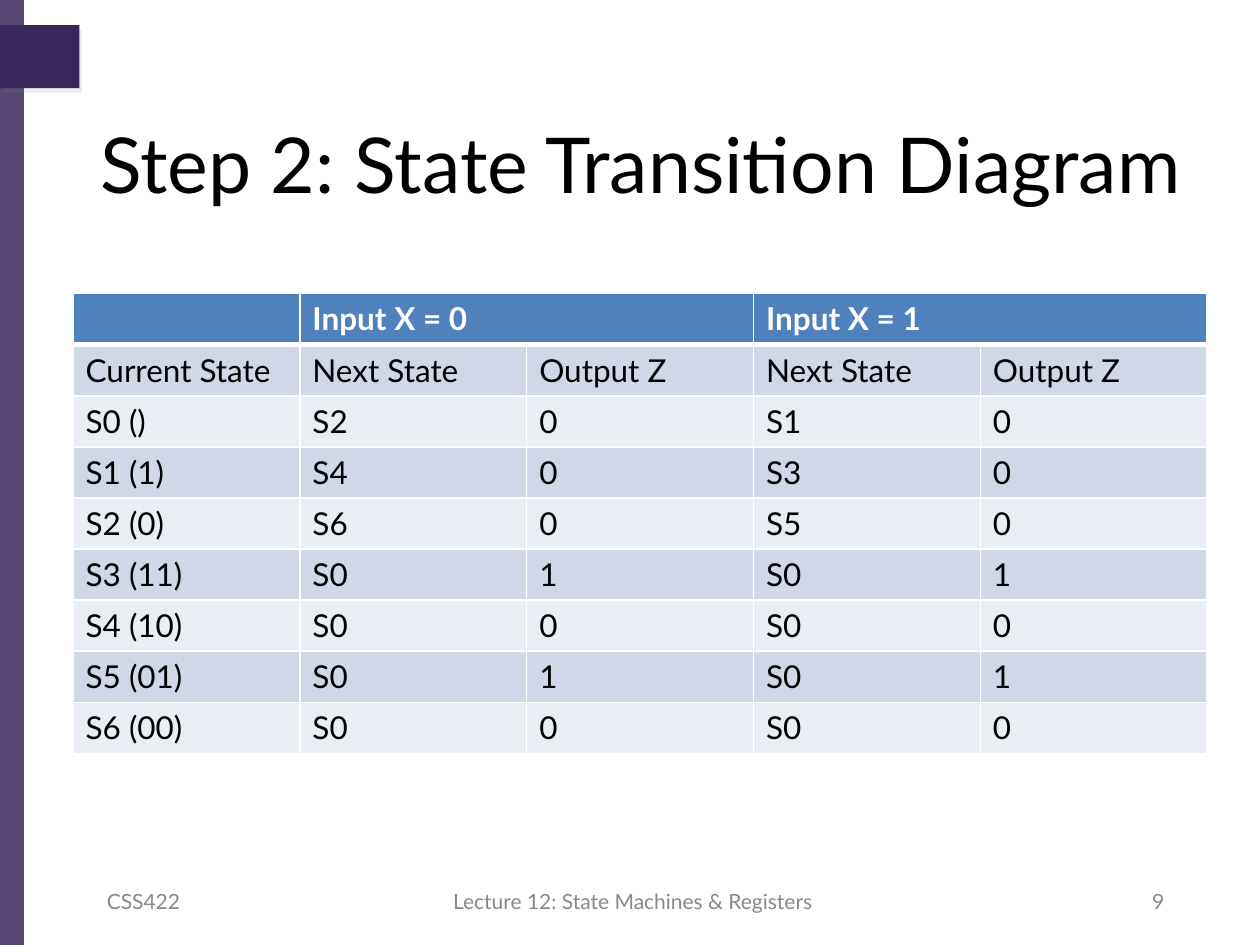
import dataclasses

import pptx
import pptx.dml.color
import pptx.enum.shapes
import pptx.enum.text
import pptx.oxml
import pptx.oxml.ns
import pptx.util
from lxml import etree

Inches = pptx.util.Inches
Align = pptx.enum.text.PP_ALIGN


@dataclasses.dataclass(frozen=True)
class Theme:
    font: str = "Lato"
    accent: str = "39275B"
    shadow: str = "808080"
    text: str = "000000"
    muted: str = "898989"
    header: str = "4F81BD"
    bands: tuple = ("D0D8E8", "E9EDF4")
    white: str = "FFFFFF"
    title_size: int = 44
    table_size: int = 18
    footer_size: int = 12
    rule: int = 1
    header_rule: int = 3


THEME = Theme()

TABLE_ROWS = [
    ["", "Input X = 0", "", "Input X = 1", ""],
    ["Current State", "Next State", "Output Z", "Next State", "Output Z"],
    ["S0 ()", "S2", "0", "S1", "0"],
    ["S1 (1)", "S4", "0", "S3", "0"],
    ["S2 (0)", "S6", "0", "S5", "0"],
    ["S3 (11)", "S0", "1", "S0", "1"],
    ["S4 (10)", "S0", "0", "S0", "0"],
    ["S5 (01)", "S0", "1", "S0", "1"],
    ["S6 (00)", "S0", "0", "S0", "0"],
]

FOOTERS = [
    (0.75, 2.33, "CSS422", Align.LEFT),
    (3.46, 3.17, "Lecture 12: State Machines & Registers ", Align.CENTER),
    (7.01, 2.33, "9", Align.RIGHT),
]


def rgb(color):
    return pptx.dml.color.RGBColor.from_string(color)


def add_run(paragraph, text, size, color, bold=False):
    run = paragraph.add_run()
    run.text = text
    run.font.name = THEME.font
    run.font.size = pptx.util.Pt(size)
    run.font.bold = bold
    run.font.color.rgb = rgb(color)


def add_text(slide, left, top, width, height, text, size, color, align):
    box = slide.shapes.add_textbox(
        Inches(left), Inches(top), Inches(width), Inches(height))
    frame = box.text_frame
    frame.word_wrap = True
    frame.vertical_anchor = pptx.enum.text.MSO_ANCHOR.MIDDLE
    paragraph = frame.paragraphs[0]
    paragraph.alignment = align
    add_run(paragraph, text, size, color)


def add_block(slide, left, top, width, height):
    block = slide.shapes.add_shape(
        pptx.enum.shapes.MSO_SHAPE.RECTANGLE,
        Inches(left), Inches(top), Inches(width), Inches(height))
    block.shadow.inherit = False
    block.fill.solid()
    block.fill.fore_color.rgb = rgb(THEME.accent)
    block.line.fill.background()
    return block


def set_opacity(parent, percent):
    """Make the one RGB colour under parent partly transparent."""
    color = next(parent.iter(pptx.oxml.ns.qn("a:srgbClr")))
    etree.SubElement(color, pptx.oxml.ns.qn("a:alpha"), val=str(percent * 1000))


def add_shadow(block, distance, angle, opacity):
    effects = block._element.spPr.find(pptx.oxml.ns.qn("a:effectLst"))
    shadow = etree.SubElement(
        effects, pptx.oxml.ns.qn("a:outerShdw"), blurRad="0",
        dist=str(pptx.util.Pt(distance)), dir=str(angle * 60000), rotWithShape="0")
    etree.SubElement(shadow, pptx.oxml.ns.qn("a:srgbClr"), val=THEME.shadow)
    set_opacity(shadow, opacity)


def set_borders(cell, top, bottom):
    """Draw white borders; they must precede the fill in the cell properties."""
    properties = cell._tc.get_or_add_tcPr()
    widths = {"L": THEME.rule, "R": THEME.rule, "T": top, "B": bottom}
    for position, (side, width) in enumerate(widths.items()):
        properties.insert(position, pptx.oxml.parse_xml(
            f'<a:ln{side} {pptx.oxml.ns.nsdecls("a")} w="{pptx.util.Pt(width)}">'
            f'<a:solidFill><a:srgbClr val="{THEME.white}"/></a:solidFill>'
            f'</a:ln{side}>'))


def style_cell(cell, row, text):
    is_header = row == 0
    cell.fill.solid()
    cell.fill.fore_color.rgb = rgb(
        THEME.header if is_header else THEME.bands[(row - 1) % 2])
    set_borders(cell,
                top=THEME.header_rule if row == 1 else THEME.rule,
                bottom=THEME.header_rule if is_header else THEME.rule)
    if text:
        add_run(cell.text_frame.paragraphs[0], text, THEME.table_size,
                THEME.white if is_header else THEME.text, bold=is_header)


def add_state_table(slide):
    row_count, column_count = len(TABLE_ROWS), len(TABLE_ROWS[0])
    table = slide.shapes.add_table(
        row_count, column_count,
        Inches(0.58), Inches(2.33), Inches(9), Inches(3.65)).table
    for first in (1, 3):
        table.cell(0, first).merge(table.cell(0, first + 1))
    for row, texts in enumerate(TABLE_ROWS):
        for column, text in enumerate(texts):
            style_cell(table.cell(row, column), row, text)


def main():
    deck = pptx.Presentation()
    deck.slide_width, deck.slide_height = Inches(10), Inches(7.5)
    slide = deck.slides.add_slide(deck.slide_layouts[6])

    side_bar = add_block(slide, 0, 0, 0.19, 7.5)
    set_opacity(side_bar._element.spPr, 85)
    corner_tab = add_block(slide, 0, 0.2, 0.63, 0.5)
    add_shadow(corner_tab, distance=3, angle=60, opacity=15)

    add_text(slide, 0.17, 0.83, 9.83, 0.92, "Step 2: State Transition Diagram",
             THEME.title_size, THEME.text, Align.CENTER)
    add_state_table(slide)
    for left, width, text, align in FOOTERS:
        add_text(slide, left, 6.95, width, 0.4, text,
                 THEME.footer_size, THEME.muted, align)

    deck.save("out.pptx")


if __name__ == "__main__":
    main()
